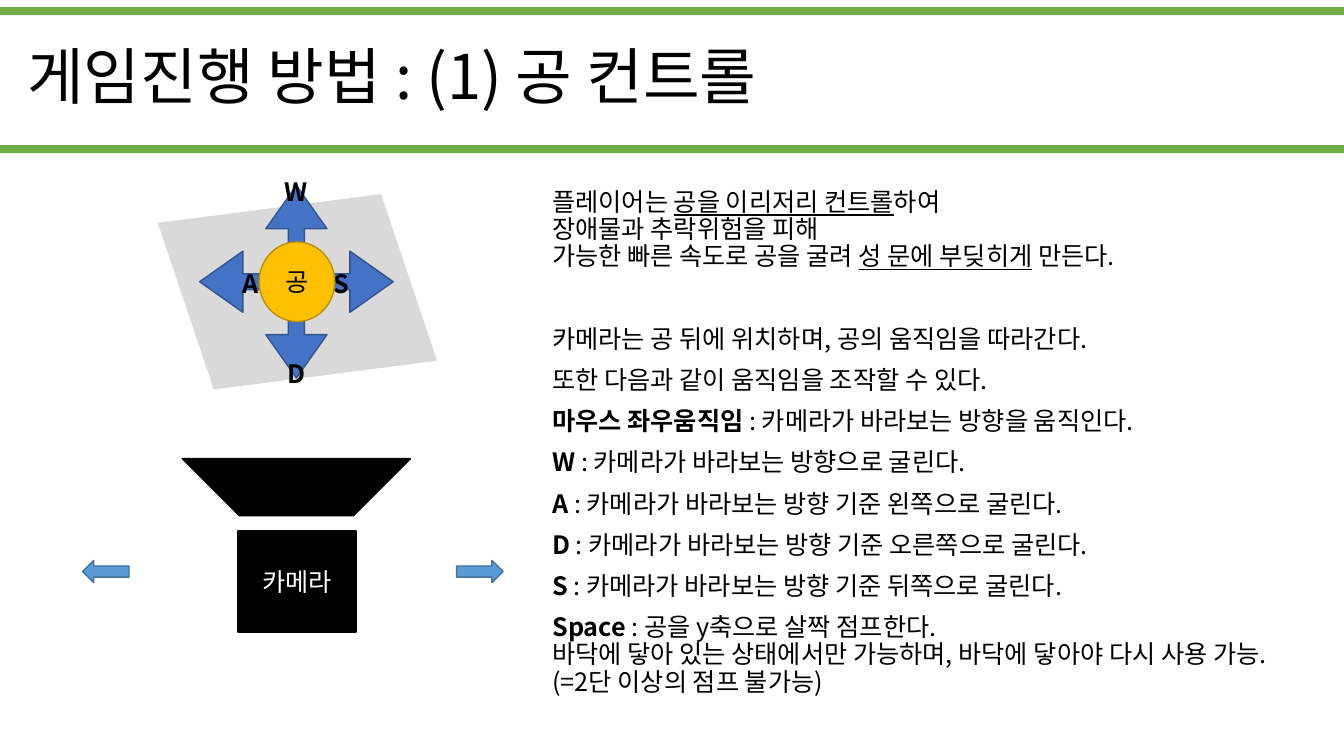
from pptx import Presentation
from pptx.dml.color import RGBColor
from pptx.enum.shapes import MSO_SHAPE
from pptx.enum.text import MSO_ANCHOR, MSO_AUTO_SIZE, PP_ALIGN
from pptx.oxml.ns import qn
from pptx.util import Inches, Pt
from lxml.etree import SubElement

FONT = "Noto Sans CJK KR"
BLACK = "000000"


def color(code):
    return RGBColor.from_string(code)


class Page:
    """Holds the slide and the text style shared by its parts."""

    def __init__(self, deck):
        self.slide = deck.slides.add_slide(deck.slide_layouts[5])

    def run(self, para, text, size=18, tint=BLACK, bold=False, under=False):
        run = para.add_run()
        run.text = text
        font = run.font
        font.size, font.bold, font.underline = Pt(size), bold, under
        font.color.rgb = color(tint)
        font.name = FONT
        SubElement(font._element, qn("a:ea")).set("typeface", FONT)

    def frame(self, shape, anchor):
        frame = shape.text_frame
        frame.word_wrap = True
        frame.auto_size = MSO_AUTO_SIZE.NONE
        frame.vertical_anchor = anchor
        return frame

    def place(self, shape, box):
        shape.left, shape.top, shape.width, shape.height = map(Inches, box)

    def title(self, text, box):
        shape = self.slide.shapes.title
        self.place(shape, box)
        para = self.frame(shape, MSO_ANCHOR.MIDDLE).paragraphs[0]
        para.alignment = PP_ALIGN.LEFT
        para.line_spacing = 0.9
        self.run(para, text, 44)

    def shape(self, kind, box, fill, line=None, turn=0, text="", tint=BLACK):
        shape = self.slide.shapes.add_shape(kind, *map(Inches, box))
        shape.shadow.inherit = False
        shape.rotation = turn
        shape.fill.solid()
        shape.fill.fore_color.rgb = color(fill)
        if line:
            shape.line.color.rgb = color(line)
            shape.line.width = Pt(1)
        else:
            shape.line.fill.background()
        if text:
            para = self.frame(shape, MSO_ANCHOR.MIDDLE).paragraphs[0]
            para.alignment = PP_ALIGN.CENTER
            self.run(para, text, tint=tint)
        return shape

    def label(self, text, x, y):
        """Put a bold key letter centred on x, y."""
        box = self.slide.shapes.add_textbox(
            *map(Inches, (x - 0.25, y - 0.2, 0.5, 0.4)))
        para = self.frame(box, MSO_ANCHOR.MIDDLE).paragraphs[0]
        para.alignment = PP_ALIGN.CENTER
        self.run(para, text, bold=True)

    def body(self, items, box):
        """Write paragraphs given as (space before, runs); a run is (text, style)."""
        shape = self.slide.shapes.add_textbox(*map(Inches, box))
        frame = self.frame(shape, MSO_ANCHOR.TOP)
        for i, (gap, runs) in enumerate(items):
            para = frame.add_paragraph() if i else frame.paragraphs[0]
            para.line_spacing = 0.9
            para.space_before = Pt(gap)
            for text, style in runs:
                for n, part in enumerate(text.split("\n")):
                    if n:
                        para.add_line_break()
                    if part:
                        self.run(para, part, bold=style == "b", under=style == "u")


KEYS = [
    ("마우스 좌우움직임", "카메라가 바라보는 방향을 움직인다."),
    ("W", "카메라가 바라보는 방향으로 굴린다."),
    ("A", "카메라가 바라보는 방향 기준 왼쪽으로 굴린다."),
    ("D", "카메라가 바라보는 방향 기준 오른쪽으로 굴린다."),
    ("S", "카메라가 바라보는 방향 기준 뒤쪽으로 굴린다."),
    ("Space", "공을 y축으로 살짝 점프한다.\n"
     "바닥에 닿아 있는 상태에서만 가능하며, 바닥에 닿아야 다시 사용 가능.\n"
     "(=2단 이상의 점프 불가능)"),
]
GUIDE = [
    (0, [("플레이어는 ", ""), ("공을 이리저리 컨트롤", "u"),
         ("하여\n장애물과 추락위험을 피해\n가능한 빠른 속도로 공을 굴려 ", ""),
         ("성 문에 부딪히게", "u"), (" 만든다.", "")]),
    (39.5, [("카메라는 공 뒤에 위치하며, 공의 움직임을 따라간다.", "")]),
    (10, [("또한 다음과 같이 움직임을 조작할 수 있다.", "")]),
] + [(10, [(key, "b"), (" : " + use, "")]) for key, use in KEYS]


def main():
    deck = Presentation()
    deck.slide_width, deck.slide_height = Inches(13.33), Inches(7.5)
    page = Page(deck)

    for top in (0.07, 1.44):
        page.shape(MSO_SHAPE.RECTANGLE, (0, top, 13.33, 0.08), "70AD47")
    page.title("게임진행 방법 : (1) 공 컨트롤", (0.17, 0.06, 12.97, 1.45))
    page.body(GUIDE, (5.38, 1.83, 7.76, 5.4))

    page.shape(MSO_SHAPE.FLOWCHART_DATA, (1.86, 1.8, 2.18, 2.19), "D9D9D9", turn=251.4)
    cross = page.shape(MSO_SHAPE.QUAD_ARROW, (1.98, 1.84, 1.92, 1.91), "4472C4", "325491")
    for i, value in enumerate((0.083, 0.159, 0.225)):
        cross.adjustments[i] = value
    for key, x, y in (("W", 2.94, 1.9), ("A", 2.49, 2.81), ("S", 3.39, 2.81), ("D", 2.94, 3.7)):
        page.label(key, x, y)
    page.shape(MSO_SHAPE.FLOWCHART_CONNECTOR, (2.57, 2.4, 0.75, 0.79),
               "FFC000", "BD8E00", text="공")

    page.shape(MSO_SHAPE.DIAGONAL_STRIPE, (2.14, 3.75, 1.6, 1.6), BLACK, BLACK, 225)
    page.shape(MSO_SHAPE.RECTANGLE, (2.36, 5.27, 1.17, 1), BLACK, BLACK,
               text="카메라", tint="FFFFFF")
    for kind, left in ((MSO_SHAPE.LEFT_ARROW, 0.82), (MSO_SHAPE.RIGHT_ARROW, 4.53)):
        page.shape(kind, (left, 5.56, 0.46, 0.22), "5B9BD5", "43739E")

    deck.save("out.pptx")


if __name__ == "__main__":
    main()
